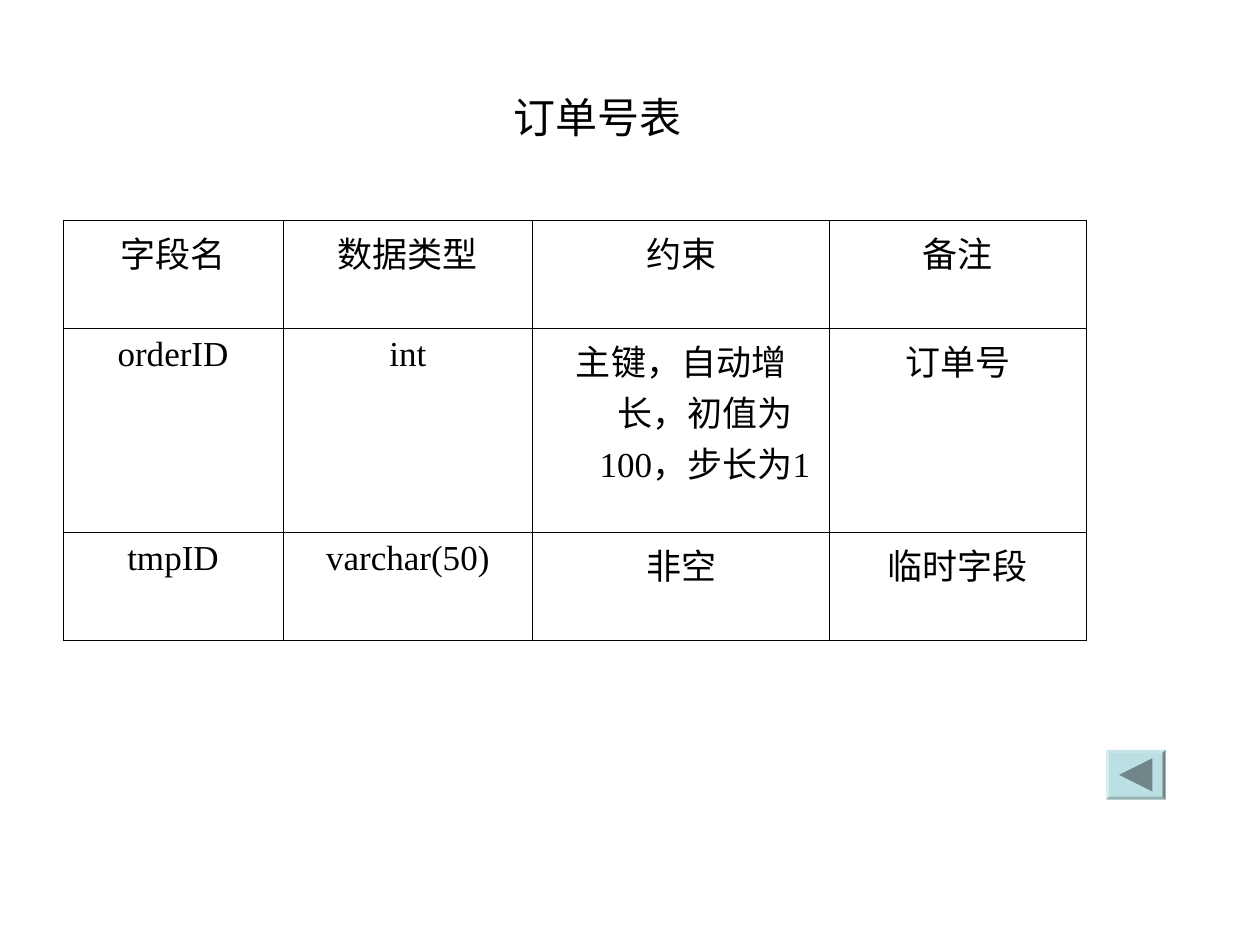
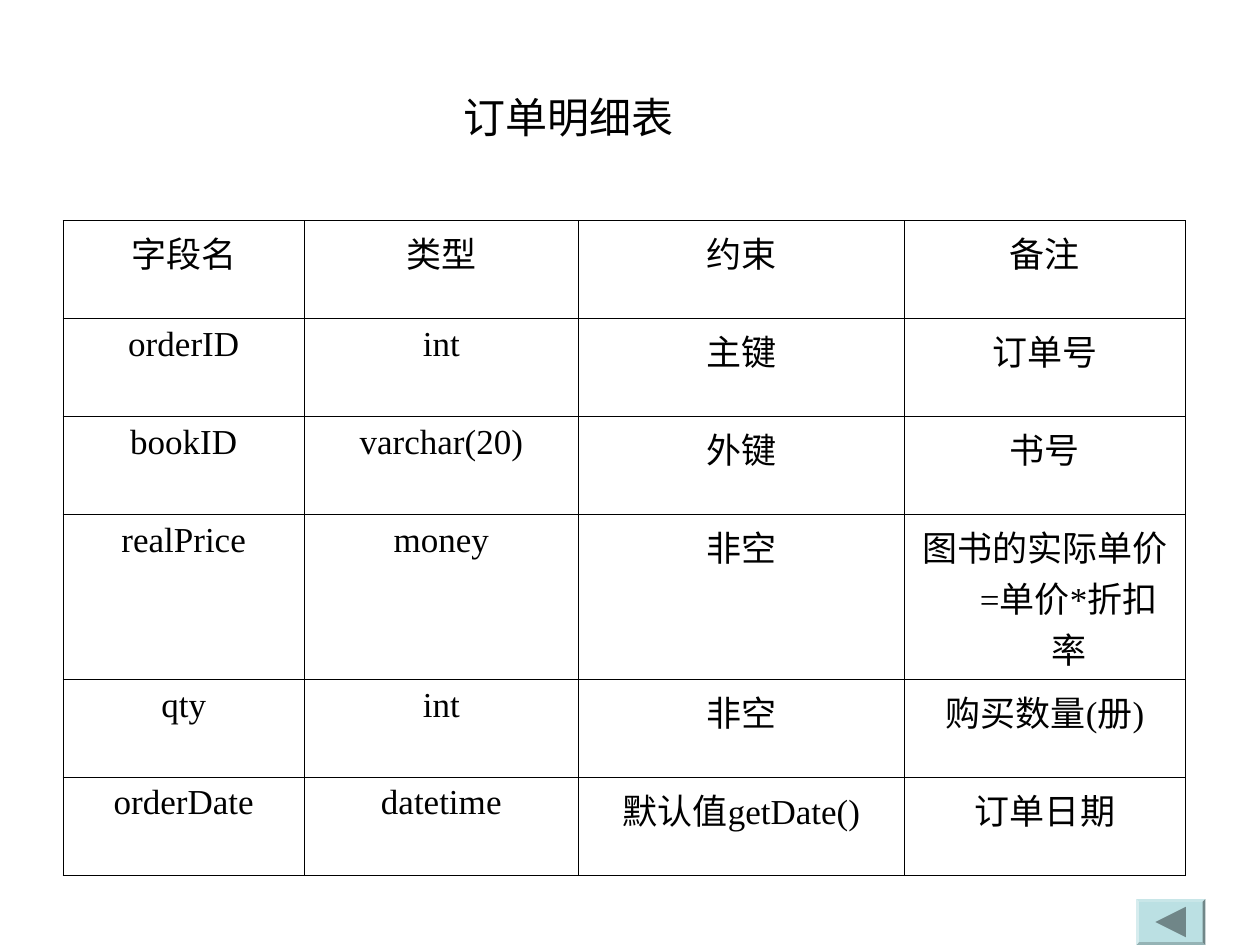
from dataclasses import dataclass

from lxml import etree
from pptx import Presentation
from pptx.dml.color import RGBColor
from pptx.enum.shapes import MSO_SHAPE
from pptx.enum.text import PP_ALIGN
from pptx.oxml.ns import qn
from pptx.util import Pt

BEVEL = MSO_SHAPE.BEVEL
LEFT, CENTER = PP_ALIGN.LEFT, PP_ALIGN.CENTER


@dataclass(frozen=True)
class Theme:
    ink: str = "000000"
    button: str = "BBE0E3"
    arrow: str = "708688"
    title_font: str = "Arial"
    cell_font: str = "Times New Roman"
    title_size: float = 24
    cell_size: float = 20
    border: float = 0.45
    hanging: float = 27


THEME = Theme()
TABLE_LEFT, TABLE_TOP = 36, 126
TITLE_TOP, TITLE_HEIGHT = 49, 36
COLUMN_SHARES = (174.7, 198, 236, 203.3)

TABLES = [
    {
        "title": "订单号表",
        "title_left": 286.5,
        "title_width": 221,
        "table_width": 584.6,
        "row_heights": (61.7, 116.6, 61.7),
        "rows": [
            ("字段名", "数据类型", "约束", "备注"),
            ("orderID", "int", "主键，自动增长，初值为100，步长为1", "订单号"),
            ("tmpID", "varchar(50)", "非空", "临时字段"),
        ],
        "button": (632, 428.6, 34, 28.4),
    },
    {
        "title": "订单明细表",
        "title_left": 257.8,
        "title_width": 255,
        "table_width": 641.5,
        "row_heights": (56, 56, 56, 94.3, 56, 56),
        "rows": [
            ("字段名", "类型", "约束", "备注"),
            ("orderID", "int", "主键", "订单号"),
            ("bookID", "varchar(20)", "外键", "书号"),
            ("realPrice", "money", "非空", "图书的实际单价=单价*折扣率"),
            ("qty", "int", "非空", "购买数量(册)"),
            ("orderDate", "datetime", "默认值getDate()", "订单日期"),
        ],
        "button": (649.2, 513.8, 39.6, 26.2),
    },
]


def write(tf, text, font, size, align):
    tf.word_wrap = True
    p = tf.paragraphs[0]
    p.alignment = align
    r = p.add_run()
    r.text = text
    values = {"name": font, "size": Pt(size), "bold": False}
    for name, value in values.items():
        setattr(r.font, name, value)
    r.font.color.rgb = RGBColor.from_string(THEME.ink)
    return p


def add_title(s, text, left, width):
    box = s.shapes.add_textbox(Pt(left), Pt(TITLE_TOP), Pt(width), Pt(TITLE_HEIGHT))
    write(box.text_frame, text, THEME.title_font, THEME.title_size, LEFT)


def set_borders(cell):
    tc_pr = cell._tc.get_or_add_tcPr()
    for side in ("lnL", "lnR", "lnT", "lnB"):
        ln = etree.SubElement(tc_pr, qn(f"a:{side}"), w=str(Pt(THEME.border)))
        fill = etree.SubElement(ln, qn("a:solidFill"))
        etree.SubElement(fill, qn("a:srgbClr"), val=THEME.ink)


def fill_cell(cell, text):
    p = write(cell.text_frame, text, THEME.cell_font, THEME.cell_size, CENTER)
    p_pr = p._p.get_or_add_pPr()
    hanging = Pt(THEME.hanging)
    values = {"marL": hanging, "indent": -hanging, "eaLnBrk": 1, "hangingPunct": 0}
    for name, value in values.items():
        p_pr.set(name, str(value))
    set_borders(cell)
    cell.fill.background()


def add_field_table(s, rows, width, heights):
    frame = s.shapes.add_table(
        len(rows), len(COLUMN_SHARES),
        Pt(TABLE_LEFT), Pt(TABLE_TOP), Pt(width), Pt(sum(heights)))
    table = frame.table
    table.first_row = table.horz_banding = False
    for column, share in zip(table.columns, COLUMN_SHARES):
        column.width = Pt(width * share / sum(COLUMN_SHARES))
    for row, height, texts in zip(table.rows, heights, rows):
        row.height = Pt(height)
        for cell, text in zip(row.cells, texts):
            fill_cell(cell, text)


def paint(sp, color):
    sp.shadow.inherit = False
    sp.fill.solid()
    sp.fill.fore_color.rgb = RGBColor.from_string(color)
    sp.line.fill.background()


def add_back_button(s, left, top, width, height):
    sp = s.shapes.add_shape(BEVEL, Pt(left), Pt(top), Pt(width), Pt(height))
    sp.adjustments[0] = 0.06
    paint(sp, THEME.button)
    x, y, reach = left + width / 2, top + height / 2, height / 3
    builder = s.shapes.build_freeform(Pt(x - reach), Pt(y))
    builder.add_line_segments(
        [(Pt(x + reach), Pt(y - reach)), (Pt(x + reach), Pt(y + reach))], close=True)
    paint(builder.convert_to_shape(), THEME.arrow)


def main():
    prs = Presentation()
    prs.slide_width, prs.slide_height = Pt(720), Pt(540)
    for entry in TABLES:
        s = prs.slides.add_slide(prs.slide_layouts[6])
        add_field_table(s, entry["rows"], entry["table_width"], entry["row_heights"])
        add_back_button(s, *entry["button"])
        add_title(s, entry["title"], entry["title_left"], entry["title_width"])
    prs.save("out.pptx")


if __name__ == "__main__":
    main()
